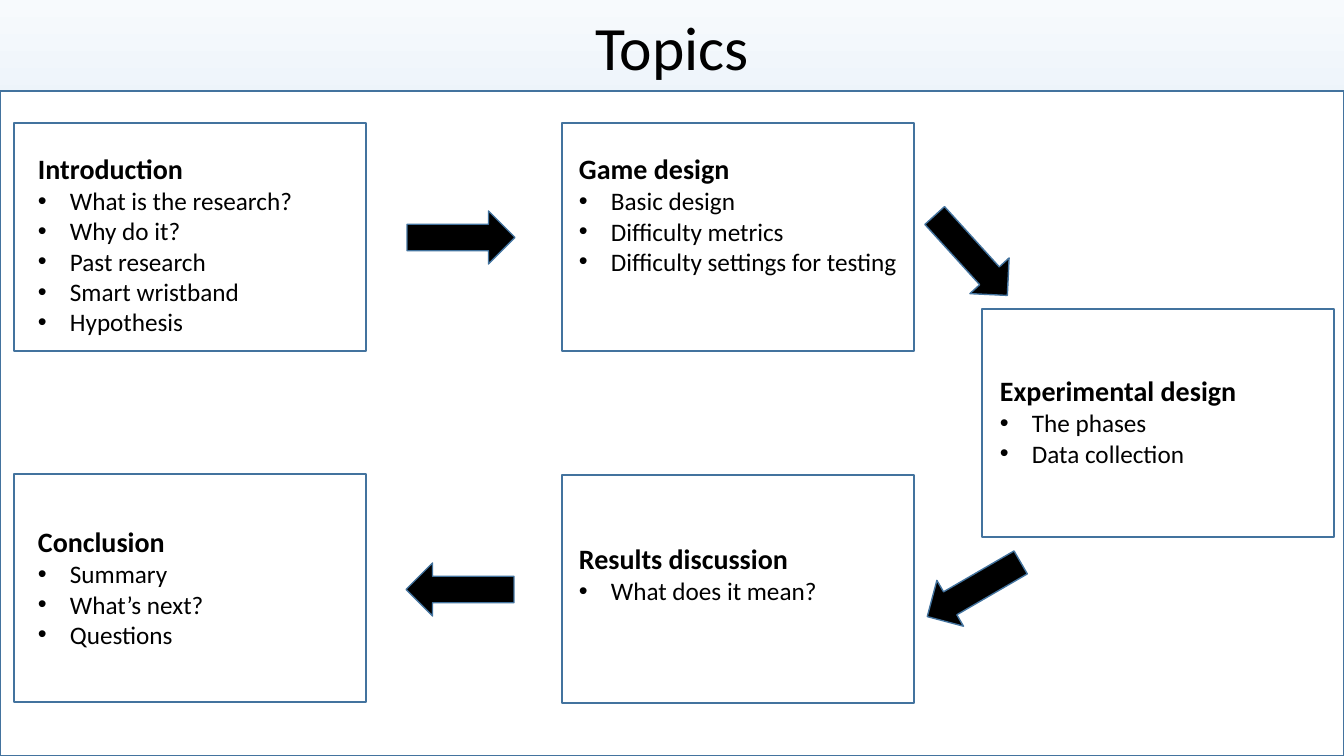
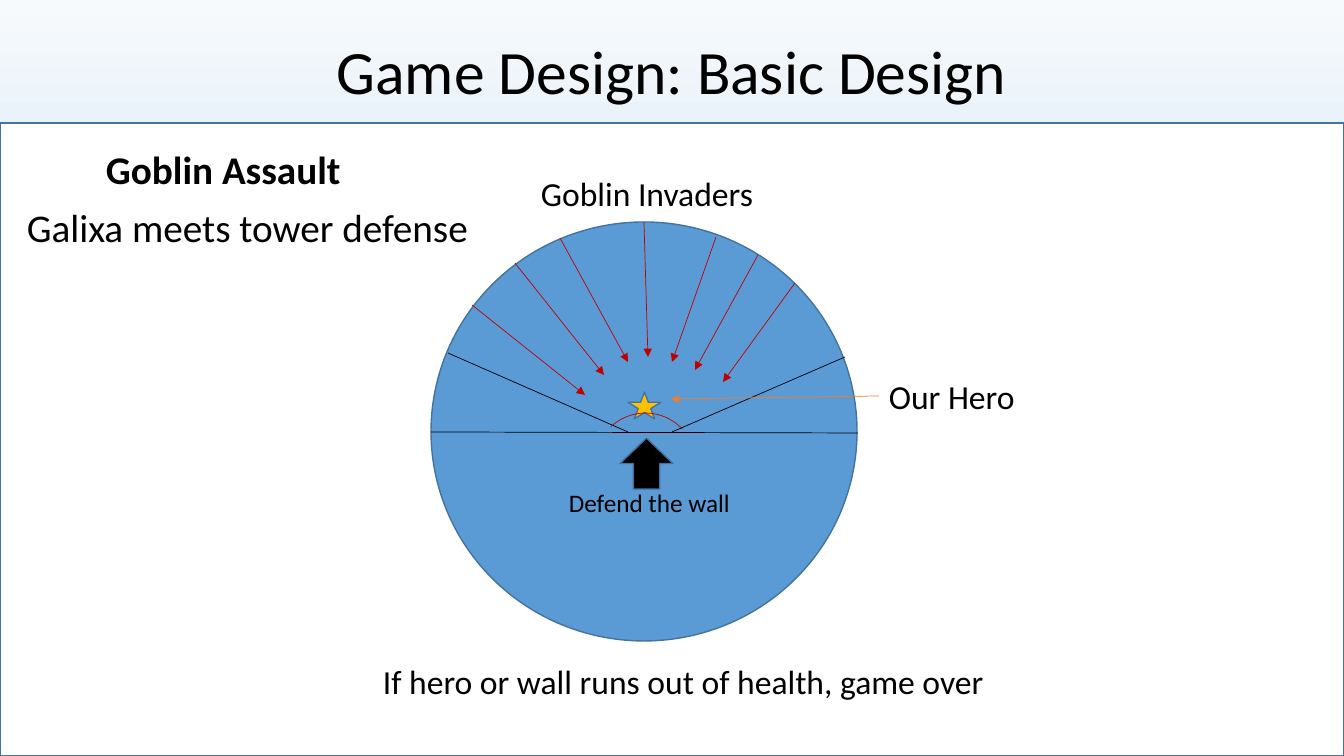
from dataclasses import dataclass

from lxml import etree
from pptx import Presentation
from pptx import util as u
from pptx.dml.color import RGBColor
from pptx.enum import shapes, text
from pptx.oxml.ns import qn

# Shared look
FONT = "Calibri"
BLACK, WHITE, EDGE = "000000", "FFFFFF", "43739E"
BLUE, GOLD, RED, ORANGE = "5B9BD5", "FFC000", "C00000", "ED7D31"
STOPS = [(0, "C8DEF1"), (0, "F7FAFD"), (74, "B5D2EC"),
         (83, "B5D2EC"), (100, "CEE1F2")]
WIDE, HIGH = 1344, 756
CARD_W, CARD_H, BODY_W = 352, 228, 346
INDENT = 32
KIND = shapes.MSO_SHAPE


@dataclass
class Card:
    x: int
    y: int
    body_x: int
    body_y: int
    head: str
    items: list[str]


@dataclass
class Arrow:
    x: int
    y: int
    w: int
    h: int
    turn: float


@dataclass
class Label:
    x: int
    y: int
    w: int
    h: int
    words: str
    size: int
    bold: bool = False


@dataclass
class Line:
    x1: int
    y1: int
    x2: int
    y2: int
    tint: str = BLACK
    tip: bool = False


# Slide content
CARDS = [
    Card(14, 123, 28, 147, "Introduction",
         ["What is the research?", "Why do it?", "Past research",
          "Smart wristband", "Hypothesis"]),
    Card(562, 123, 569, 147, "Game design",
         ["Basic design", "Difficulty metrics",
          "Difficulty settings for testing"]),
    Card(982, 309, 990, 369, "Experimental design",
         ["The phases", "Data collection"]),
    Card(562, 475, 569, 537, "Results discussion", ["What does it mean?"]),
    Card(14, 474, 28, 520, "Conclusion",
         ["Summary", "What’s next?", "Questions"]),
]
FLOW = [
    Arrow(917, 229, 108, 53, 47.7),
    Arrow(920, 563, 108, 53, 149.9),
    Arrow(407, 211, 108, 53, 0),
    Arrow(406, 563, 108, 53, 180),
]
WALLS = [
    Line(431, 432, 858, 433),
    Line(628, 432, 448, 353),
    Line(672, 432, 845, 357),
]
RAIDS = [
    Line(*ends, RED, True) for ends in [
        (472, 305, 585, 395), (515, 263, 604, 375), (644, 222, 648, 357),
        (560, 238, 628, 362), (716, 237, 672, 362), (758, 255, 695, 370),
        (795, 283, 723, 382)]
]
LABELS = [
    Label(96, 140, 266, 57, "Goblin Assault", 28, True),
    Label(17, 198, 477, 57, "Galixa meets tower defense", 28),
    Label(531, 168, 235, 50, "Goblin Invaders", 24),
    Label(879, 371, 147, 50, "Our Hero", 24),
    Label(559, 482, 183, 40, "Defend the wall", 18),
    Label(373, 656, 627, 50, "If hero or wall runs out of health, game over", 24),
]


# Helpers
def px(n: int) -> u.Emu:
    return u.Emu(round(n * 914400 / 100.8))


def hue(code: str) -> RGBColor:
    return RGBColor.from_string(code)


def write(para, words: str, *, size: int, bold: bool = False,
          bullet: bool = False) -> None:
    if bullet:
        props = para._p.get_or_add_pPr()
        props.set("marL", str(px(INDENT)))
        props.set("indent", str(-px(INDENT)))
        face = etree.SubElement(props, qn("a:buFont"))
        face.set("typeface", "Arial")
        etree.SubElement(props, qn("a:buChar")).set("char", "•")
    run = para.add_run()
    run.text = words
    font = run.font
    font.name, font.size, font.bold = FONT, u.Pt(size), bold
    font.color.rgb = hue(BLACK)


def frame(slide, x: int, y: int, w: int, h: int, wrap: bool):
    body = slide.shapes.add_textbox(px(x), px(y), px(w), px(h)).text_frame
    body.word_wrap = wrap
    return body


def draw(slide, kind, x: int, y: int, w: int, h: int, *,
         fill: str | None = WHITE, edge: str = EDGE, thick: float = 1,
         turn: float = 0) -> None:
    item = slide.shapes.add_shape(kind, px(x), px(y), px(w), px(h))
    item.shadow.inherit = False
    item.rotation = turn
    if fill:
        item.fill.solid()
        item.fill.fore_color.rgb = hue(fill)
    else:
        item.fill.background()
    item.line.color.rgb = hue(edge)
    item.line.width = u.Pt(thick)


def point(slide, arrow: Arrow) -> None:
    draw(slide, KIND.RIGHT_ARROW, arrow.x, arrow.y, arrow.w, arrow.h,
         fill=BLACK, turn=arrow.turn)


def link(slide, line: Line) -> None:
    item = slide.shapes.add_connector(
        shapes.MSO_CONNECTOR.STRAIGHT,
        px(line.x1), px(line.y1), px(line.x2), px(line.y2))
    item.line.color.rgb = hue(line.tint)
    item.line.width = u.Pt(0.5)
    if line.tip:
        tail = etree.SubElement(item.line._get_or_add_ln(), qn("a:tailEnd"))
        tail.set("type", "triangle")
    etree.SubElement(item._element.spPr, qn("a:effectLst"))


def paint(master) -> None:
    fill = master.background.fill
    fill.gradient()
    fill.gradient_angle = 270
    stops = fill._fill._gradFill.find(qn("a:gsLst"))
    for old in list(stops):
        stops.remove(old)
    for spot, code in STOPS:
        stop = etree.SubElement(stops, qn("a:gs"))
        stop.set("pos", str(spot * 1000))
        etree.SubElement(stop, qn("a:srgbClr")).set("val", code)


def start(deck, words: str, top: int, high: int, edge: int):
    """Add a slide with its title and the white panel below."""
    slide = deck.slides.add_slide(deck.slide_layouts[5])
    title = slide.shapes.title
    title.left, title.top = px(92), px(top)
    title.width, title.height = px(WIDE - 2 * 92), px(high)
    body = title.text_frame
    body.vertical_anchor = text.MSO_ANCHOR.MIDDLE
    para = body.paragraphs[0]
    para.alignment = text.PP_ALIGN.CENTER
    para.line_spacing = 0.9
    write(para, words, size=44)
    draw(slide, KIND.RECTANGLE, 0, edge, WIDE, HIGH - edge)
    return slide


# Slides
def topics(deck) -> None:
    slide = start(deck, "Topics", 12, 78, 91)
    for card in CARDS:
        draw(slide, KIND.RECTANGLE, card.x, card.y, CARD_W, CARD_H)
        high = 44 + 30 * len(card.items)
        body = frame(slide, card.body_x, card.body_y, BODY_W, high, True)
        write(body.paragraphs[0], card.head, size=20, bold=True)
        for item in card.items:
            write(body.add_paragraph(), item, size=18, bullet=True)
    for arrow in FLOW:
        point(slide, arrow)


def game(deck) -> None:
    slide = start(deck, "Game Design: Basic Design", 2, 146, 123)
    # Arena, hero and shield
    draw(slide, KIND.OVAL, 431, 222, 426, 419, fill=BLUE)
    for line in WALLS:
        link(slide, line)
    draw(slide, KIND.STAR_5_POINT, 628, 392, 33, 27, fill=GOLD)
    draw(slide, KIND.ARC, 595, 413, 101, 101, fill=None, edge=RED,
         thick=0.5, turn=316.9)
    # Attack paths and callouts
    for line in RAIDS:
        link(slide, line)
    point(slide, Arrow(621, 437, 51, 53, 270))
    link(slide, Line(879, 396, 671, 399, ORANGE, True))
    for tag in LABELS:
        body = frame(slide, tag.x, tag.y, tag.w, tag.h, False)
        write(body.paragraphs[0], tag.words, size=tag.size, bold=tag.bold)


def main() -> None:
    deck = Presentation()
    deck.slide_width, deck.slide_height = px(WIDE), px(HIGH)
    paint(deck.slide_master)
    topics(deck)
    game(deck)
    deck.save("out.pptx")


if __name__ == "__main__":
    main()
